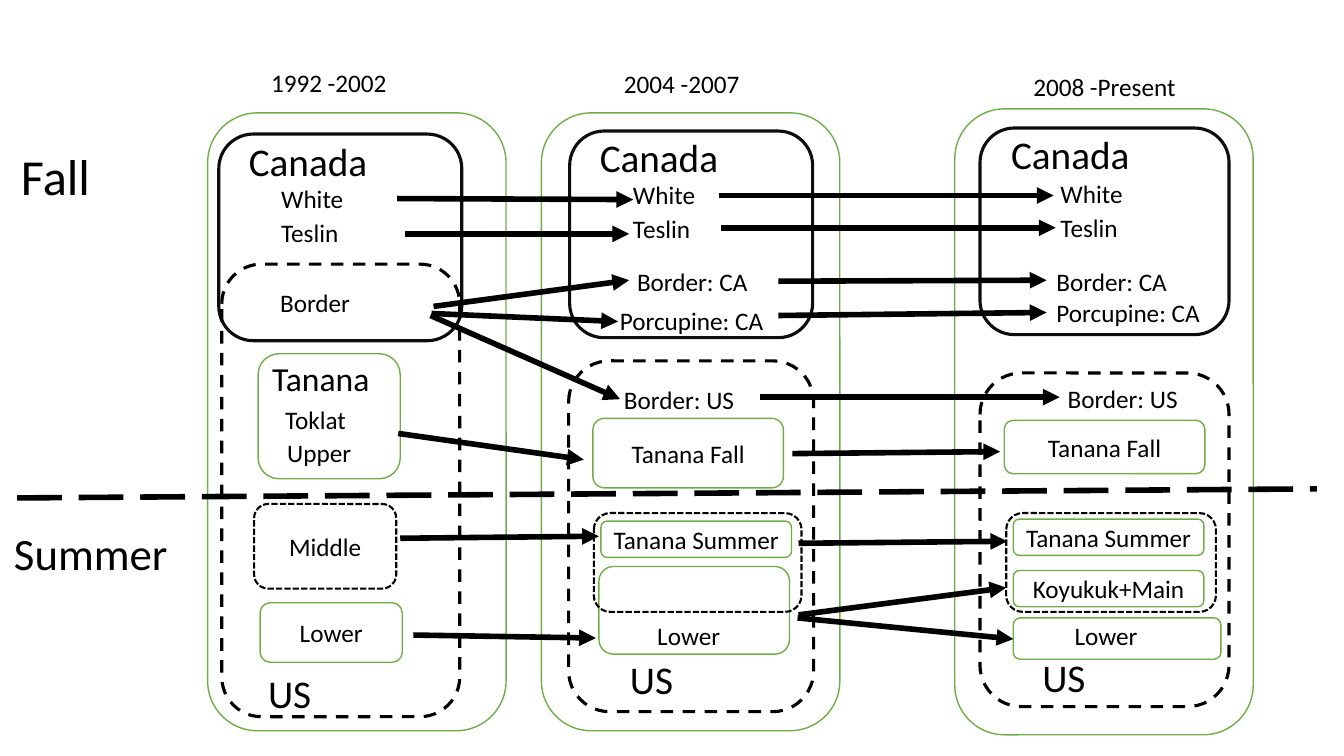
from lxml import etree
from pptx import Presentation
from pptx.dml.color import RGBColor
from pptx.enum.dml import MSO_LINE
from pptx.enum.shapes import MSO_CONNECTOR, MSO_SHAPE
from pptx.enum.text import MSO_ANCHOR, MSO_AUTO_SIZE, PP_ALIGN
from pptx.oxml.ns import qn
from pptx.util import Inches, Pt

ROUNDED = MSO_SHAPE.ROUNDED_RECTANGLE
STRAIGHT = MSO_CONNECTOR.STRAIGHT
DASH, LONG_DASH, SHORT_DASH = MSO_LINE.DASH, MSO_LINE.LONG_DASH, MSO_LINE.SQUARE_DOT
MIDDLE, CENTER = MSO_ANCHOR.MIDDLE, PP_ALIGN.CENTER
FIT = MSO_AUTO_SIZE.SHAPE_TO_FIT_TEXT
BLACK, SOFT_BLACK, GREEN, WHITE = "000000", "0D0D0D", "70AD47", "FFFFFF"


def color(hex_code):
    return RGBColor.from_string(hex_code)


class Diagram:
    font = "Calibri"
    body_size = 18
    arrow_width = 4

    def __init__(self, slide):
        self.slide = slide

    def styled_run(self, frame, text, size):
        run = frame.paragraphs[0].add_run()
        run.text = text
        run.font.name = self.font
        run.font.size = Pt(size)
        run.font.color.rgb = color(BLACK)

    def box(self, place, text="", line=GREEN, width=1, dash=None, fill=WHITE):
        """Rounded rectangle; fill=None leaves it see-through."""
        shape = self.slide.shapes.add_shape(ROUNDED, *map(Inches, place))
        shape.shadow.inherit = False
        if fill:
            shape.fill.solid()
            shape.fill.fore_color.rgb = color(fill)
        else:
            shape.fill.background()
        shape.line.color.rgb = color(line)
        shape.line.width = Pt(width)
        if dash:
            shape.line.dash_style = dash
        if text:
            frame = shape.text_frame
            frame.vertical_anchor = MIDDLE
            frame.paragraphs[0].alignment = CENTER
            self.styled_run(frame, text, self.body_size)

    def label(self, text, left, top, width, size=body_size):
        height = size * 1.2 / 72 + 0.1
        place = map(Inches, (left, top, width, height))
        frame = self.slide.shapes.add_textbox(*place).text_frame
        frame.word_wrap = True
        frame.auto_size = FIT
        self.styled_run(frame, text, size)

    def line(self, x1, y1, x2, y2, dash=None, arrow=True):
        ends = map(Inches, (x1, y1, x2, y2))
        connector = self.slide.shapes.add_connector(STRAIGHT, *ends)
        connector.line.color.rgb = color(BLACK)
        connector.line.width = Pt(self.arrow_width)
        if dash:
            connector.line.dash_style = dash
        properties = connector.element.spPr
        if arrow:
            outline = properties.find(qn("a:ln"))
            etree.SubElement(outline, qn("a:tailEnd"), type="triangle")
        etree.SubElement(properties, qn("a:effectLst"))


PERIOD_FRAMES = [(2.06, 1.12, 2.96, 6.13), (5.37, 1.12, 2.96, 6.13), (9.47, 1.08, 2.96, 6.21)]
CANADA_FRAMES = [(2.17, 1.33, 2.41, 2.05), (5.65, 1.3, 2.41, 2.05), (9.72, 1.27, 2.47, 2.05)]
US_FRAMES = [(2.2, 2.62, 2.36, 4.49), (5.64, 3.58, 2.43, 3.48), (9.72, 3.7, 2.47, 3.31)]
STOCK_BOXES = [
    ((2.56, 3.51, 1.41, 1.24), ""),
    ((2.58, 5.98, 1.41, 0.59), "Lower"),
    ((5.94, 5.62, 1.89, 0.87), ""),
    ((10.05, 6.13, 2.06, 0.41), ""),
    ((10.05, 5.66, 1.89, 0.36), "Koyukuk+Main"),
    ((5.96, 5.17, 1.89, 0.36), "Tanana Summer"),
    ((10.05, 5.15, 1.89, 0.36), "Tanana Summer"),
    ((5.88, 4.15, 1.89, 0.69), "Tanana Fall"),
    ((9.96, 4.17, 1.99, 0.53), "Tanana Fall"),
]
SUMMER_GROUPS = [(9.98, 5.09, 2.08, 0.98), (5.89, 5.09, 2.06, 0.98)]
PERIODS = [
    ("1992 -2002", 2.59, 0.62, 1.4),
    ("2004 -2007", 6.09, 0.63, 1.4),
    ("2008 -Present", 10.15, 0.66, 1.69),
]
STOCKS = [
    ("White", 2.69, 1.77, 1.24),
    ("Teslin", 2.69, 2.11, 1.17),
    ("Border", 2.68, 2.8, 0.96),
    ("Toklat", 2.73, 3.96, 0.87),
    ("Upper", 2.75, 4.29, 0.9),
    ("White", 6.18, 1.73, 1.24),
    ("Teslin", 6.18, 2.07, 1.17),
    ("Border: CA", 6.22, 2.59, 1.37),
    ("Porcupine: CA", 6.05, 2.98, 1.7),
    ("Border: US", 6.09, 3.76, 1.93),
    ("Lower", 6.42, 6.1, 0.89),
    ("White", 10.42, 1.72, 1.27),
    ("Teslin", 10.42, 2.06, 1.2),
    ("Border: CA", 10.38, 2.59, 1.37),
    ("Porcupine: CA", 10.38, 2.9, 1.7),
    ("Border: US", 10.49, 3.75, 1.96),
    ("Lower", 10.56, 6.11, 0.89),
]
HEADINGS = [
    ("Canada", 2.37, 1.31, 2.08, 28),
    ("Canada", 5.85, 1.27, 2.08, 28),
    ("Canada", 9.93, 1.24, 2.12, 28),
    ("US", 2.56, 6.59, 0.72, 28),
    ("US", 6.15, 6.45, 1.03, 28),
    ("US", 10.24, 6.43, 1.04, 28),
    ("Tanana", 2.6, 3.5, 1.24, 24),
    ("Summer", 0.04, 5.17, 1.74, 32),
    ("Fall", 0.11, 1.39, 0.89, 36),
]
FLOWS = [
    (3.94, 1.97, 6.28, 1.98),
    (4.02, 2.32, 6.24, 2.32),
    (4.3, 3.04, 6.24, 2.78),
    (4.28, 3.11, 6.13, 3.19),
    (4.27, 3.13, 6.15, 3.96),
    (3.95, 4.3, 5.79, 4.56),
    (3.97, 5.34, 5.94, 5.32),
    (4.1, 6.3, 5.91, 6.33),
    (7.13, 1.94, 10.45, 1.94),
    (7.15, 2.26, 10.47, 2.26),
    (7.72, 2.79, 10.38, 2.78),
    (7.72, 3.13, 10.38, 3.1),
    (7.54, 3.94, 10.51, 3.94),
    (7.86, 4.5, 9.92, 4.48),
    (7.92, 5.39, 9.99, 5.37),
    (7.92, 6.1, 9.98, 5.83),
    (7.91, 6.13, 10.05, 6.34),
]


def main():
    deck = Presentation()
    deck.slide_width, deck.slide_height = Inches(13.33), Inches(7.5)
    diagram = Diagram(deck.slides.add_slide(deck.slide_layouts[6]))

    for place in PERIOD_FRAMES:
        diagram.box(place)
    for place in CANADA_FRAMES:
        diagram.box(place, line=SOFT_BLACK, width=2.25, fill=None)
    for place in US_FRAMES:
        diagram.box(place, line=BLACK, width=2.25, dash=DASH, fill=None)
    diagram.box((2.52, 5, 1.41, 0.84), "Middle", BLACK, 1.5, SHORT_DASH)
    for place, stock in STOCK_BOXES:
        diagram.box(place, stock)
    for label in PERIODS + STOCKS + HEADINGS:
        diagram.label(*label)
    for flow in FLOWS:
        diagram.line(*flow)
    diagram.line(0.17, 4.94, 13.06, 4.85, dash=LONG_DASH, arrow=False)
    for place in SUMMER_GROUPS:
        diagram.box(place, line=BLACK, width=1.5, dash=SHORT_DASH, fill=None)

    deck.save("out.pptx")


if __name__ == "__main__":
    main()
